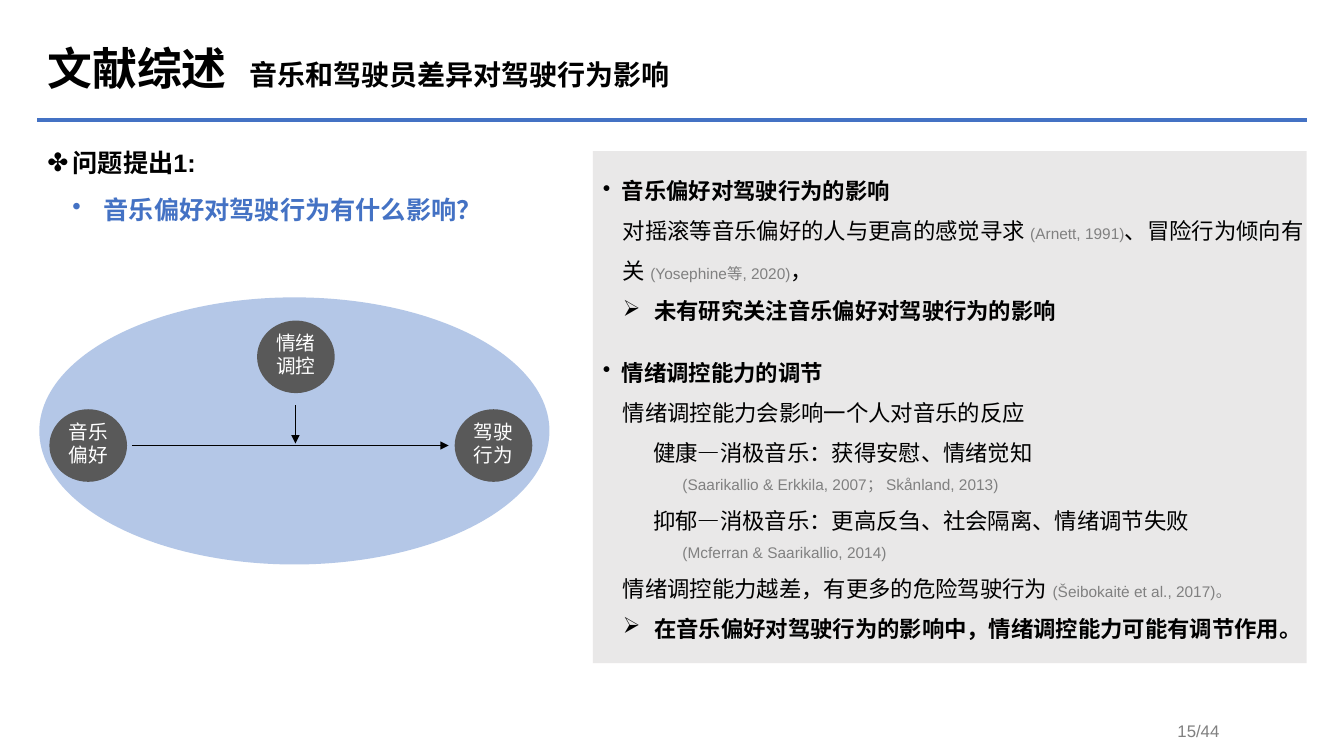
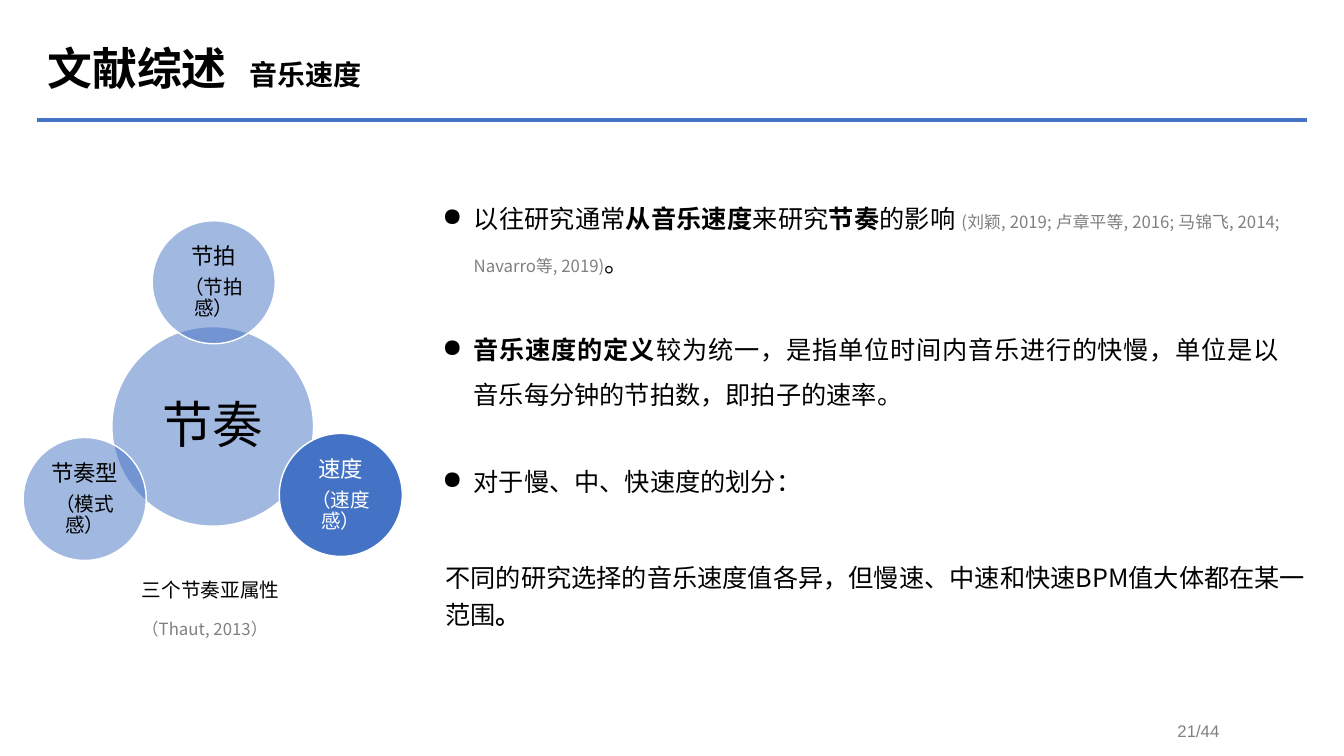
"""Build two literature review slides on music and driving behaviour."""
import pptx
import pptx.util
import pptx.dml.color
import pptx.enum.shapes
import pptx.enum.text
import pptx.oxml.ns
from lxml import etree

Inches = pptx.util.Inches
Pt = pptx.util.Pt
RGBColor = pptx.dml.color.RGBColor
SHAPE = pptx.enum.shapes.MSO_SHAPE
STRAIGHT = pptx.enum.shapes.MSO_CONNECTOR.STRAIGHT
ALIGN = pptx.enum.text.PP_ALIGN
MIDDLE = pptx.enum.text.MSO_ANCHOR.MIDDLE
TOP = pptx.enum.text.MSO_ANCHOR.TOP
NO_FIT = pptx.enum.text.MSO_AUTO_SIZE.NONE
qn = pptx.oxml.ns.qn

BLACK = RGBColor(0x00, 0x00, 0x00)
WHITE = RGBColor(0xFF, 0xFF, 0xFF)
BLUE = RGBColor(0x44, 0x72, 0xC4)
PALE_BLUE = RGBColor(0xB4, 0xC7, 0xE7)
GREY = RGBColor(0x80, 0x80, 0x80)
DARK_GREY = RGBColor(0x59, 0x59, 0x59)
PANEL_GREY = RGBColor(0xD0, 0xCE, 0xCE)
LATIN = "Arial"
CJK = "Noto Sans CJK SC"


def add_para(tf, runs, line, font=CJK, before=0, after=0, left=0, hang=0,
             bullet=None, align=ALIGN.LEFT):
    """Add a paragraph of (text, size, colour, bold) runs."""
    tf.word_wrap = True
    tf.auto_size = NO_FIT
    p = tf.paragraphs[0] if not tf.paragraphs[0].runs else tf.add_paragraph()
    p.alignment = align
    p.line_spacing = line
    p.space_before = Pt(before)
    p.space_after = Pt(after)
    pPr = p._p.get_or_add_pPr()
    pPr.set("marL", str(Inches(left)))
    pPr.set("indent", str(-Inches(hang)))
    if bullet:
        etree.SubElement(pPr, qn("a:buChar")).set("char", bullet)
    for text, size, color, bold in runs:
        r = p.add_run()
        r.text = text
        r.font.size = Pt(size)
        r.font.bold = bold
        r.font.color.rgb = color
        r.font.name = font
        etree.SubElement(r._r.get_or_add_rPr(), qn("a:ea")).set("typeface", CJK)
    return p


def add_line(s, x1, y1, x2, y2, color, width, arrow=False):
    """Draw a straight line, with an arrowhead if wanted."""
    cx = s.shapes.add_connector(STRAIGHT, Inches(x1), Inches(y1), Inches(x2), Inches(y2))
    cx.line.color.rgb = color
    cx.line.width = Pt(width)
    if arrow:
        etree.SubElement(cx.line._get_or_add_ln(), qn("a:tailEnd")).set("type", "triangle")
    etree.SubElement(cx._element.spPr, qn("a:effectLst"))


prs = pptx.Presentation()
prs.slide_width = Inches(13.33)
prs.slide_height = Inches(7.5)

slides = []
for layout, subtitle, page in [
    (1, "音乐和驾驶员差异对驾驶行为影响", "15/44"),
    (5, "音乐速度", "21/44"),
]:
    s = prs.slides.add_slide(prs.slide_layouts[layout])
    slides.append(s)
    title = s.shapes.title
    title.left, title.top = Inches(0.37), Inches(-0.02)
    title.width, title.height = Inches(11.5), Inches(1.45)
    title.text_frame.vertical_anchor = MIDDLE
    p = add_para(title.text_frame, [("文献综述\t", 32, BLACK, True),
                                    (subtitle, 20, BLACK, True)], 0.9)
    tabs = etree.SubElement(p._p.get_or_add_pPr(), qn("a:tabLst"))
    tab = etree.SubElement(tabs, qn("a:tab"))
    tab.set("pos", str(Inches(1.99)))
    tab.set("algn", "l")
    add_line(s, 0.37, 1.19, 12.96, 1.19, BLUE, 3)
    tb = s.shapes.add_textbox(Inches(11.58), Inches(7.1), Inches(1.24), Inches(0.3))
    add_para(tb.text_frame, [(page, 12, GREY, False)], 1.0, LATIN)

s = slides[0]
body = s.placeholders[1]
body.left, body.top = Inches(0.37), Inches(1.27)
body.width, body.height = Inches(5.3), Inches(0.6)
add_para(body.text_frame, [("问题提出1:", 18, BLACK, True)], Pt(32), LATIN,
         left=0.25, hang=0.25, bullet="✤")
tb = s.shapes.add_textbox(Inches(0.62), Inches(1.88), Inches(5), Inches(0.4))
add_para(tb.text_frame, [("音乐偏好对驾驶行为有什么影响？", 18, BLUE, True)], Pt(21.5), LATIN,
         left=0.31, hang=0.31, bullet="•")

field = s.shapes.add_shape(SHAPE.OVAL, Inches(0.39), Inches(2.95), Inches(5.06), Inches(2.65))
field.shadow.inherit = False
field.fill.solid()
field.fill.fore_color.rgb = PALE_BLUE
field.line.fill.background()
for text, x, y in [("音乐偏好", 0.49, 4.06), ("驾驶行为", 4.51, 4.06), ("情绪调控", 2.55, 3.18)]:
    node = s.shapes.add_shape(SHAPE.OVAL, Inches(x), Inches(y), Inches(0.77), Inches(0.72))
    node.shadow.inherit = False
    node.fill.solid()
    node.fill.fore_color.rgb = DARK_GREY
    node.line.fill.background()
    tf = node.text_frame
    tf.margin_left = tf.margin_right = tf.margin_top = 0
    tf.margin_bottom = Inches(0.05)
    tf.vertical_anchor = MIDDLE
    add_para(tf, [(text, 14, WHITE, False)], Pt(16.5), LATIN, align=ALIGN.CENTER)
add_line(s, 1.31, 4.42, 4.45, 4.42, BLACK, 1, True)
add_line(s, 2.93, 4.02, 2.93, 4.4, BLACK, 1, True)

panel = s.shapes.add_shape(SHAPE.RECTANGLE, Inches(5.88), Inches(1.5), Inches(7.08), Inches(5.08))
panel.shadow.inherit = False
panel.fill.solid()
panel.fill.fore_color.rgb = PANEL_GREY
etree.SubElement(panel._element.spPr.find(".//" + qn("a:srgbClr")), qn("a:alpha")).set("val", "45000")
panel.line.fill.background()
tf = panel.text_frame
tf.vertical_anchor = TOP
tf.margin_top = Inches(0.13)
tf.margin_right = 0
HEAD = dict(left=0.19, hang=0.19, bullet="•")
PLAIN = dict(left=0.2)
DETAIL = dict(left=0.5)
CITE = dict(left=0.79)
RESULT = dict(left=0.51, hang=0.31, bullet="➢")
for style, before, runs in [
    (HEAD, 0, ["音乐偏好对驾驶行为的影响"]),
    (PLAIN, 0, ["对摇滚等音乐偏好的人与更高的感觉寻求 ", "(Arnett, 1991)",
                "、冒险行为倾向有关 ", "(Yosephine等, 2020)", "，"]),
    (RESULT, 0, ["未有研究关注音乐偏好对驾驶行为的影响"]),
    (HEAD, 15, ["情绪调控能力的调节"]),
    (PLAIN, 0, ["情绪调控能力会影响一个人对音乐的反应"]),
    (DETAIL, 0, ["健康—消极音乐：获得安慰、情绪觉知"]),
    (CITE, 0, ["(Saarikallio & Erkkila, 2007； Skånland, 2013)"]),
    (DETAIL, 0, ["抑郁—消极音乐：更高反刍、社会隔离、情绪调节失败"]),
    (CITE, 0, ["(Mcferran & Saarikallio, 2014)"]),
    (PLAIN, 0, ["情绪调控能力越差，有更多的危险驾驶行为 ", "(Šeibokaitė et al., 2017)。"]),
    (RESULT, 0, ["在音乐偏好对驾驶行为的影响中，情绪调控能力可能有调节作用。"]),
]:
    bold = style in (HEAD, RESULT)
    add_para(tf, [(t, 11, GREY, False) if t.startswith("(") else (t, 16, BLACK, bold)
                  for t in runs],
             Pt(20 if style is CITE else 28.6), LATIN, before, **style)

s = slides[1]
for x, y, w, h, color, alpha, lines in [
    (1.11, 3.24, 2, 1.98, BLACK, 50, [("节奏", 36, 39)]),
    (1.51, 2.19, 1.22, 1.22, BLACK, 50, [("节拍", 16, 17), ("（节拍感）", 14, 15)]),
    (2.77, 4.3, 1.22, 1.22, WHITE, 100, [("速度", 16, 17), ("（速度感）", 14, 15)]),
    (0.23, 4.34, 1.22, 1.22, BLACK, 50, [("节奏型", 16, 17), ("（模式感）", 14, 15)]),
]:
    circle = s.shapes.add_shape(SHAPE.OVAL, Inches(x), Inches(y), Inches(w), Inches(h))
    circle.shadow.inherit = False
    circle.fill.solid()
    circle.fill.fore_color.rgb = BLUE
    clr = circle._element.spPr.find(".//" + qn("a:srgbClr"))
    etree.SubElement(clr, qn("a:alpha")).set("val", str(alpha * 1000))
    circle.line.color.rgb = WHITE
    circle.line.width = Pt(1)
    tf = circle.text_frame
    tf.margin_left = tf.margin_right = tf.margin_top = tf.margin_bottom = Inches(0.02)
    tf.vertical_anchor = MIDDLE
    for i, (text, size, line) in enumerate(lines):
        add_para(tf, [(text, size, color, False)], Pt(line), before=6 * i, align=ALIGN.CENTER)

tb = s.shapes.add_textbox(Inches(1.31), Inches(5.68), Inches(2.5), Inches(0.71))
add_para(tb.text_frame, [("三个节奏亚属性", 14, BLACK, False)], Pt(17))
add_para(tb.text_frame, [("（Thaut, 2013）", 12, GREY, False)], Pt(14.5), before=12)

tb = s.shapes.add_textbox(Inches(4.17), Inches(1.82), Inches(8.62), Inches(3.5))
for before, runs in [
    (0, [("以往研究通常", 18, BLACK, False), ("从音乐速度", 18, BLACK, True),
         ("来研究", 18, BLACK, False), ("节奏", 18, BLACK, True), ("的影响 ", 18, BLACK, False),
         ("(刘颖, 2019; 卢章平等, 2016; 马锦飞, 2014; Navarro等, 2019)", 12, GREY, False),
         ("。", 18, BLACK, False)]),
    (30, [("音乐速度的定义", 18, BLACK, True),
          ("较为统一，是指单位时间内音乐进行的快慢，单位是以音乐每分钟的节拍数，即拍子的速率。",
           18, BLACK, False)]),
    (30, [("对于慢、中、快速度的划分：", 18, BLACK, False)]),
]:
    add_para(tb.text_frame, runs, Pt(32), before=before, left=0.43, hang=0.31,
             bullet="●", align=ALIGN.JUSTIFY)

tb = s.shapes.add_textbox(Inches(4.32), Inches(5.45), Inches(8.83), Inches(0.82))
add_para(tb.text_frame, [
    ("不同的研究选择的音乐速度值各异，但慢速、中速和快速BPM值大体都在某一范围", 18, BLACK, False),
    ("。", 18, BLACK, True)], Pt(27))

prs.save("out.pptx")
